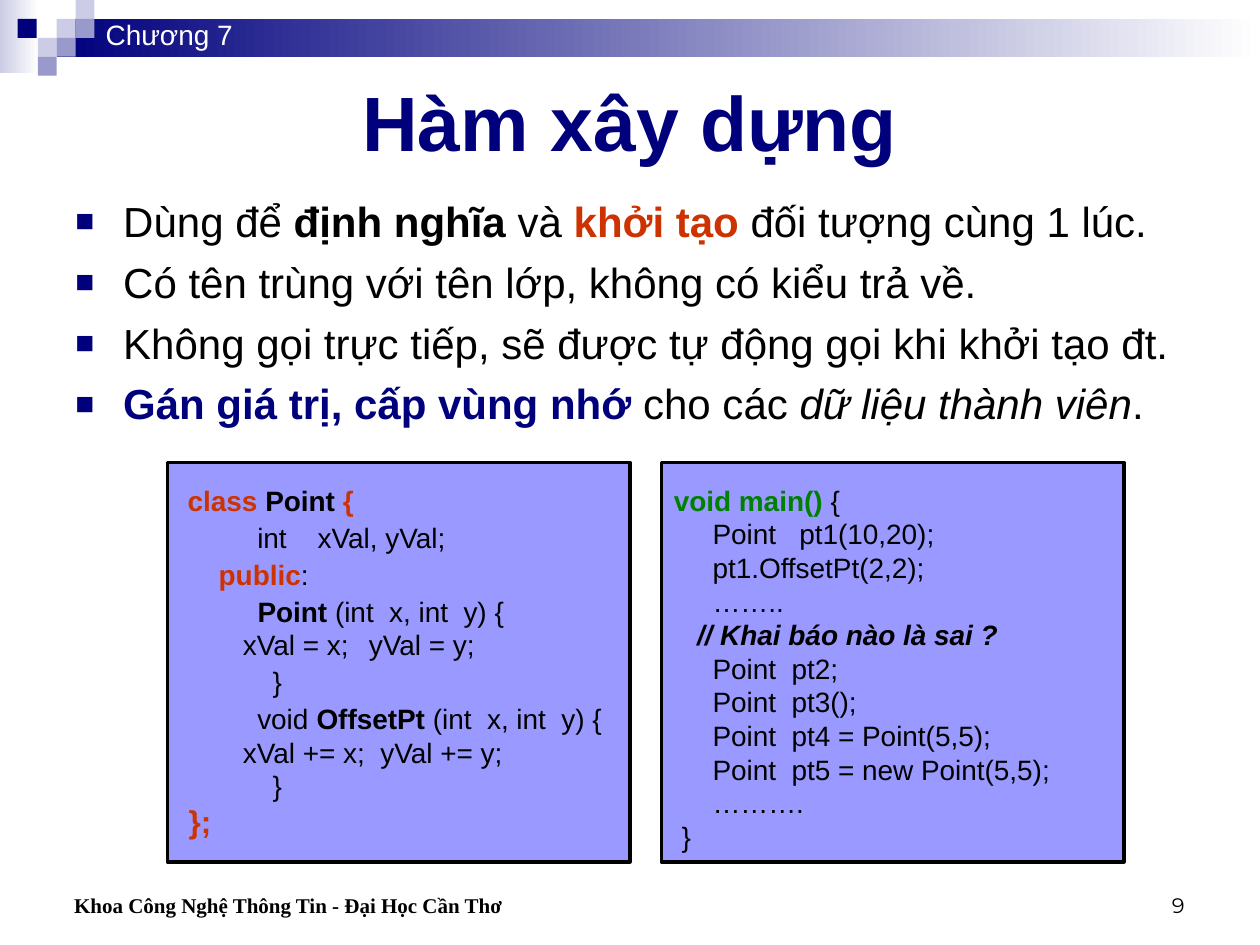
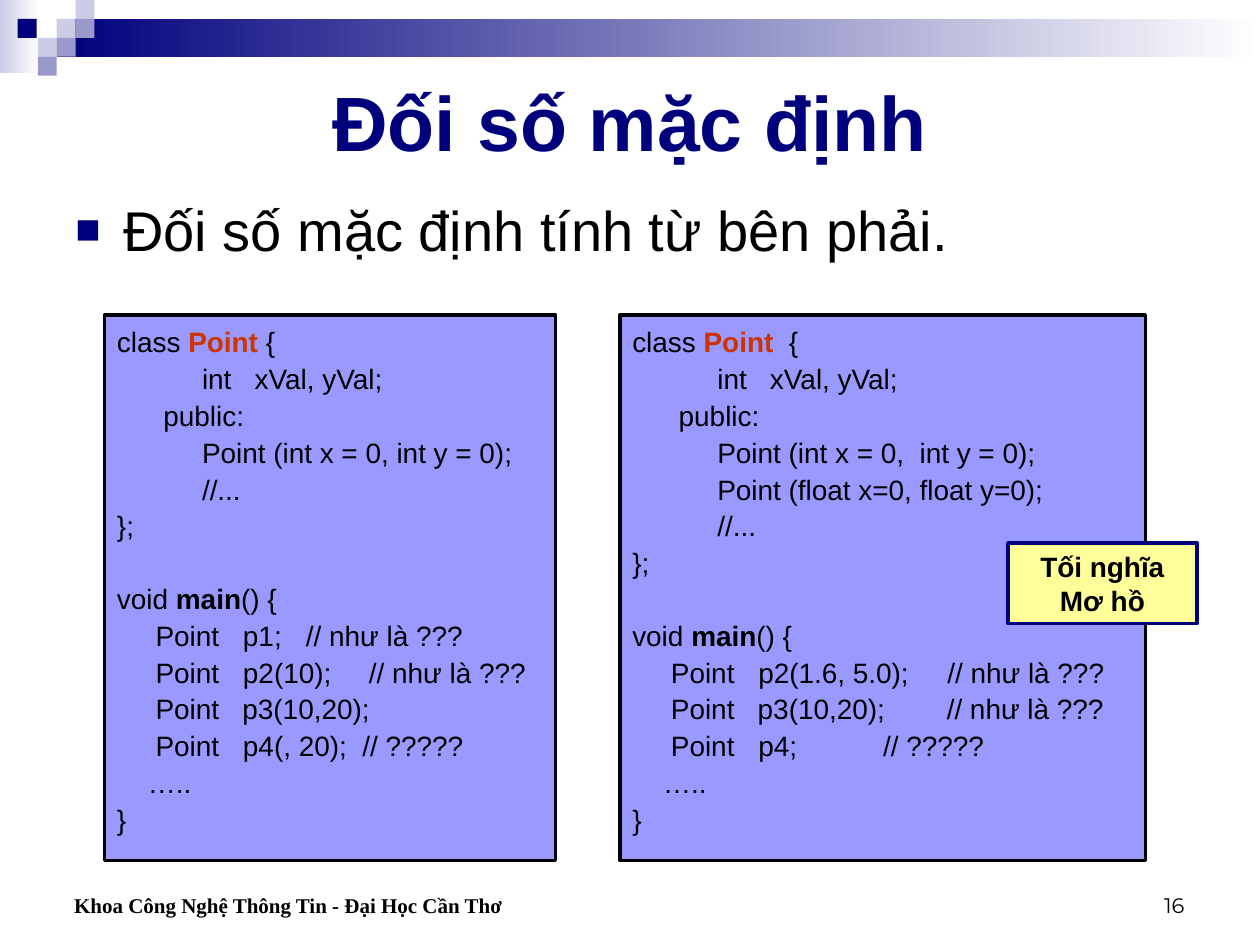
from dataclasses import dataclass

from lxml.etree import SubElement
from pptx import Presentation
from pptx.dml.color import RGBColor
from pptx.enum.shapes import MSO_SHAPE
from pptx.enum.text import MSO_ANCHOR, PP_ALIGN
from pptx.oxml.ns import qn
from pptx.util import Inches, Pt

NAVY, RED, GREEN, BLACK, WHITE = "00007D", "CC3300", "008000", "000000", "FFFFFF"
PALE, MID, CODE_FILL, NOTE_FILL = "CCCCE6", "9999CC", "9999FF", "FFFF99"
BOLD = {"bold": True}
KEYWORD = {"bold": True, "color": RED}
CODE_SIZE, CODE_LEADING = 16, 1.1
BLANK_LINE = 20.2
TILE = 0.15
TILES = [(0.45, 0.15, PALE), (0.6, 0, PALE), (0.6, 0.15, MID), (0.3, 0.3, PALE),
         (0.14, 0.15, NAVY), (0.45, 0.3, MID), (0.3, 0.45, MID)]


@dataclass
class Line:
    """One paragraph: runs of plain text or (text, format) pairs, and its spacing."""
    runs: tuple
    leading: float
    before: float


def line(*runs, leading=CODE_LEADING, before=0):
    """Make a code line."""
    return Line(runs, leading, before)


def tight(*runs):
    """Make a code line with single spacing."""
    return line(*runs, leading=1)


def rgb(code):
    """Turn a hex string into a colour."""
    return RGBColor.from_string(code)


def add_run(paragraph, text, size=CODE_SIZE, color=BLACK, bold=False, italic=False, font="Arial"):
    """Append formatted text to a paragraph."""
    run = paragraph.add_run()
    run.text = text
    run.font.name, run.font.size = font, Pt(size)
    run.font.bold, run.font.italic = bold, italic
    run.font.color.rgb = rgb(color)


def add_bullet(paragraph):
    """Give a paragraph a hanging navy square."""
    properties = paragraph._p.get_or_add_pPr()
    properties.set("marL", str(Inches(0.38)))
    properties.set("indent", str(-Inches(0.38)))
    SubElement(SubElement(properties, qn("a:buClr")), qn("a:srgbClr"), val=NAVY)
    SubElement(properties, qn("a:buSzPct"), val="75000")
    SubElement(properties, qn("a:buFont"), typeface="Arial")
    SubElement(properties, qn("a:buChar"), char="■")


class Lecture:
    """Holds the lecture style and the slide being built."""

    def __init__(self):
        """Start an empty 10 by 7.5 inch deck."""
        self.deck = Presentation()
        self.deck.slide_width, self.deck.slide_height = Inches(10), Inches(7.5)
        self.slide = None

    def start(self, title, number):
        """Add a slide with its band, title and footer."""
        self.slide = self.deck.slides.add_slide(self.deck.slide_layouts[6])
        self.fade(0, 0, 0.31, 0.58, PALE)
        self.fade(0.45, 0.15, 9.55, 0.3, NAVY)
        for left, top, color in TILES:
            self.box(left, top, TILE, TILE, color)
        self.label(0.5, 0.5, 9, 0.92, title, MSO_ANCHOR.MIDDLE, PP_ALIGN.CENTER,
                   size=44, color=NAVY, bold=True)
        self.label(0.49, 6.83, 4.59, 0.5, "Khoa Công Nghệ Thông Tin - Đại Học Cần Thơ",
                   MSO_ANCHOR.BOTTOM, size=12, bold=True, font="Times New Roman")
        self.label(7.17, 6.83, 2.33, 0.5, str(number), MSO_ANCHOR.BOTTOM, PP_ALIGN.RIGHT,
                   size=12, font="Montserrat")

    def box(self, left, top, width, height, fill=None, border=None):
        """Draw a flat rectangle."""
        shape = self.slide.shapes.add_shape(
            MSO_SHAPE.RECTANGLE, Inches(left), Inches(top), Inches(width), Inches(height))
        shape.shadow.inherit = False
        if fill:
            shape.fill.solid()
            shape.fill.fore_color.rgb = rgb(fill)
        if border:
            shape.line.color.rgb = rgb(border)
            shape.line.width = Pt(2)
        else:
            shape.line.fill.background()
        return shape

    def fade(self, left, top, width, height, color):
        """Draw a rectangle that fades to white on the right."""
        fill = self.box(left, top, width, height).fill
        fill.gradient()
        fill.gradient_angle = 0
        for stop, shade in zip(fill.gradient_stops, (color, WHITE)):
            stop.color.rgb = rgb(shade)

    def set_lines(self, shape, lines, anchor=MSO_ANCHOR.TOP, align=PP_ALIGN.LEFT,
                  bullets=False, **style):
        """Fill a shape with lines of text."""
        frame = shape.text_frame
        frame.word_wrap = True
        frame.vertical_anchor = anchor
        for index, entry in enumerate(lines):
            paragraph = frame.add_paragraph() if index else frame.paragraphs[0]
            paragraph.alignment = align
            paragraph.line_spacing = entry.leading
            if index and entry.before:
                paragraph.space_before = Pt(entry.before)
            if bullets:
                add_bullet(paragraph)
            for run in entry.runs:
                text, extra = (run, {}) if isinstance(run, str) else run
                add_run(paragraph, text, **{**style, **extra})
        return frame

    def text_area(self, left, top, width, height):
        """Add an empty text box."""
        return self.slide.shapes.add_textbox(
            Inches(left), Inches(top), Inches(width), Inches(height))

    def label(self, left, top, width, height, text, anchor=MSO_ANCHOR.TOP,
              align=PP_ALIGN.LEFT, **style):
        """Place a single line of text."""
        self.set_lines(self.text_area(left, top, width, height), [tight(text)],
                       anchor, align, **style)

    def points(self, height, size, items):
        """Place the bulleted points under the title."""
        lines = [line(*runs, leading=1, before=size / 4) for runs in items]
        self.set_lines(self.text_area(0.5, 1.5, 9, height), lines, bullets=True, size=size)

    def code(self, left, top, width, height, lines, inset=0.05):
        """Draw a code listing in a framed box."""
        frame = self.set_lines(self.box(left, top, width, height, CODE_FILL, BLACK), lines)
        frame.margin_top = Inches(inset)

    def note(self, left, top, width, height, *texts):
        """Draw a yellow remark."""
        self.set_lines(self.box(left, top, width, height, NOTE_FILL, NAVY),
                       [tight(text) for text in texts],
                       MSO_ANCHOR.MIDDLE, PP_ALIGN.CENTER, bold=True)


def constructor_slide(lecture):
    """Build the slide on constructors."""
    lecture.start("Hàm xây dựng", 9)
    lecture.label(0.74, 0.09, 1.75, 0.37, "Chương 7", color=WHITE)
    lecture.points(2, 24, [
        ("Dùng để ", ("định nghĩa", BOLD), " và ", ("khởi tạo", KEYWORD),
         " đối tượng cùng 1 lúc."),
        ("Có tên trùng với tên lớp, không có kiểu trả về.",),
        ("Không gọi trực tiếp, sẽ được tự động gọi khi khởi tạo đt.",),
        (("Gán giá trị, cấp vùng nhớ", {"bold": True, "color": NAVY}), " cho các ",
         ("dữ liệu thành viên", {"italic": True}), "."),
    ])
    class_code = [
        line((" class ", KEYWORD), ("Point ", BOLD), ("{", KEYWORD)),
        line("          int    xVal, yVal;"),
        line("     ", ("public", KEYWORD), ":"),
        line("          ", ("Point", BOLD), " (int  x, int  y) {"),
        tight("\txVal = x; \tyVal = y;"),
        line("            }"),
        line("          void ", ("OffsetPt", BOLD), " (int  x, int  y) {"),
        tight("\txVal += x;  yVal += y;"),
        tight("            }"),
        tight((" ", {"size": 18}), ("};", {**KEYWORD, "size": 18})),
    ]
    calls = ["Point   pt1(10,20);", "pt1.OffsetPt(2,2);", "……..", "Point  pt2;", "Point  pt3();",
             "Point  pt4 = Point(5,5);", "Point  pt5 = new Point(5,5);", "………."]
    main_code = [tight("     " + call) for call in calls]
    main_code.insert(3, tight(("   // Khai báo nào là sai ?", {"bold": True, "italic": True})))
    main_code = [line(("void main()", {"bold": True, "color": GREEN}), " {"),
                 *main_code, tight(" }")]
    for left, listing in ((1.33, class_code), (5.25, main_code)):
        lecture.code(left, 3.67, 3.67, 3.17, listing, inset=0.14)


def default_class(gap, constructors, calls):
    """List a class with default arguments and a main that uses it."""
    members = ["           int   xVal, yVal;", "      public:",
               *("           " + text for text in constructors), "           //...", "};"]
    return [line("class ", ("Point" + gap, KEYWORD), " {"),
            *map(line, members),
            line("void ", ("main", BOLD), "() {", before=BLANK_LINE),
            *(line("     Point" + call) for call in calls),
            line("    ….."), line("}")]


def default_argument_slide(lecture):
    """Build the slide on default arguments."""
    lecture.start("Đối số mặc định", 16)
    lecture.points(0.75, 32, [("Đối số mặc định tính từ bên phải.",)])
    lecture.code(0.83, 2.5, 3.58, 4.33, default_class(
        "", ["Point (int x = 0, int y = 0);"],
        ["\tp1;\t// như là ???", "\tp2(10);\t// như là ???",
         "   p3(10,20);", "\tp4(, 20);  // ?????"]))
    lecture.code(4.92, 2.5, 4.17, 4.33, default_class(
        " ", ["Point (int x = 0,  int y = 0);", "Point (float x=0, float y=0);"],
        ["\tp2(1.6, 5.0);     // như là ???", "   p3(10,20);        // như là ???",
         "\tp4;  \t        // ?????"]))
    lecture.note(8, 4.31, 1.5, 0.64, "Tối nghĩa", "Mơ hồ")


def main():
    """Build and save the lecture."""
    lecture = Lecture()
    constructor_slide(lecture)
    default_argument_slide(lecture)
    lecture.deck.save("out.pptx")


if __name__ == "__main__":
    main()
